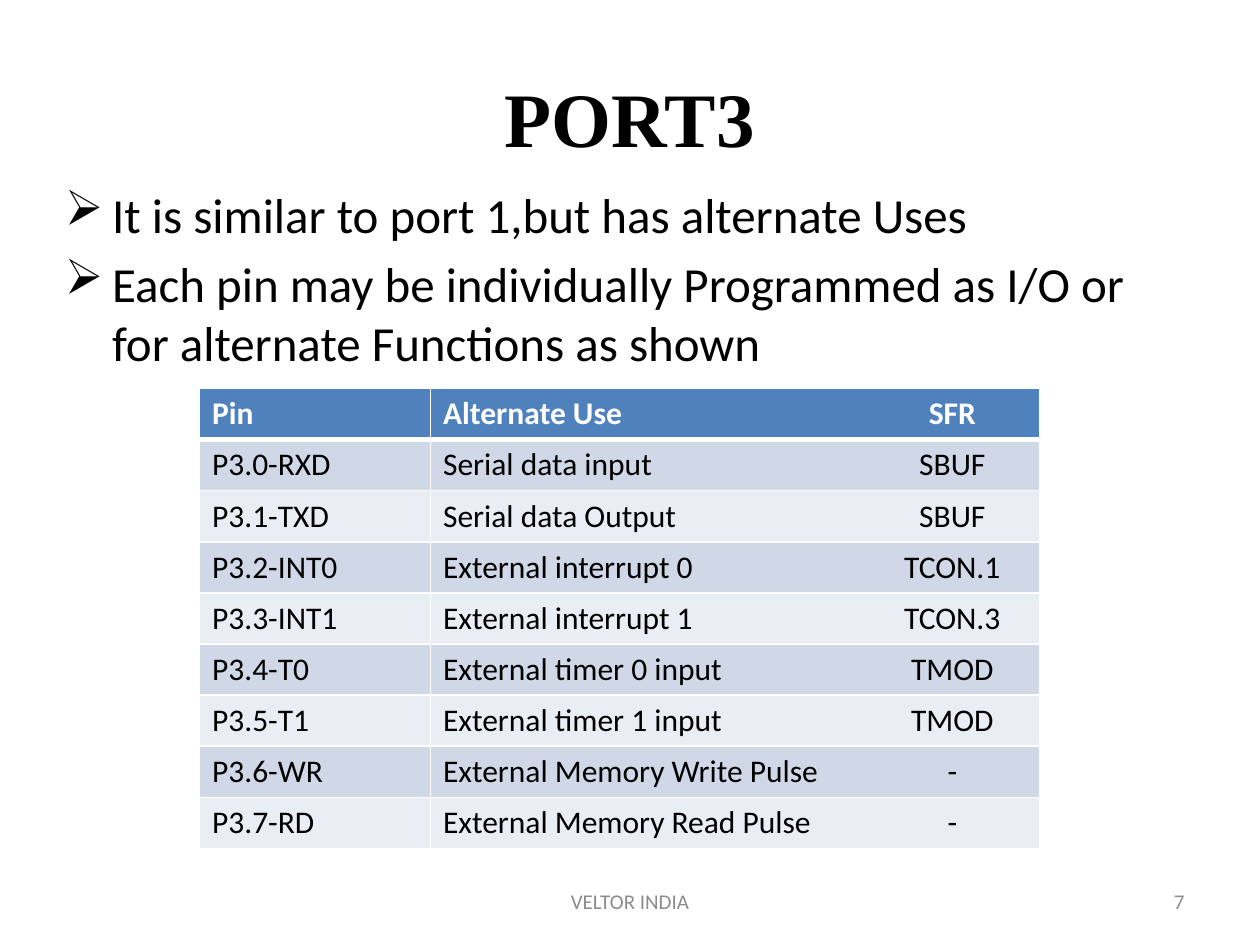
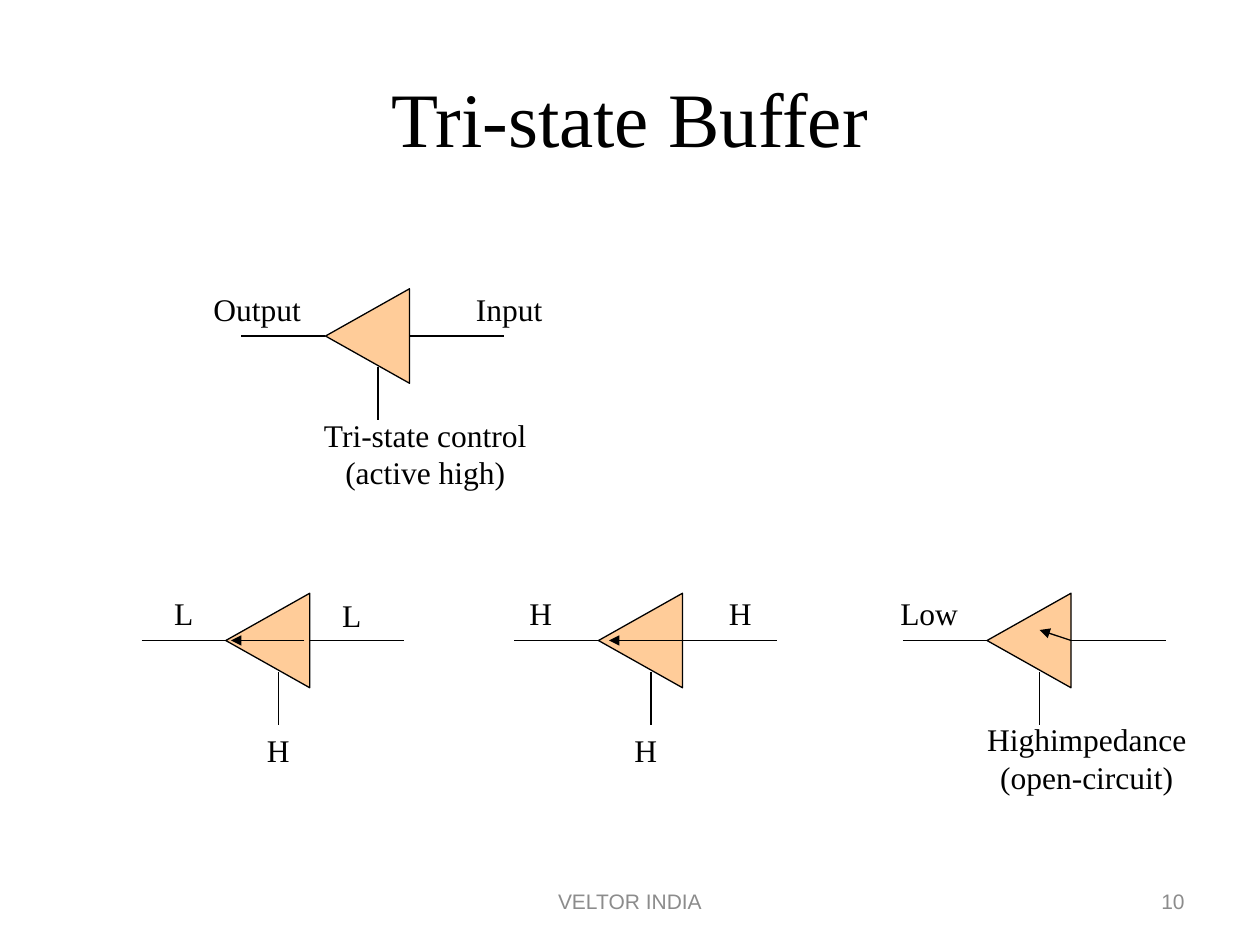
from lxml import etree
from pptx import Presentation
from pptx.dml.color import RGBColor
from pptx.enum.shapes import MSO_CONNECTOR, MSO_SHAPE
from pptx.enum.text import MSO_ANCHOR, PP_ALIGN
from pptx.oxml.ns import qn
from pptx.util import Pt

LEFT, MID, RIGHT = PP_ALIGN.LEFT, PP_ALIGN.CENTER, PP_ALIGN.RIGHT
TOP, MIDDLE = MSO_ANCHOR.TOP, MSO_ANCHOR.MIDDLE
STRAIGHT = MSO_CONNECTOR.STRAIGHT
TRIANGLE = MSO_SHAPE.ISOSCELES_TRIANGLE

BLACK = RGBColor(0x00, 0x00, 0x00)
WHITE = RGBColor(0xFF, 0xFF, 0xFF)
GREY = RGBColor(0x8C, 0x8C, 0x8C)
BLUE = RGBColor(0x4F, 0x81, 0xBD)
BANDS = RGBColor(0xD0, 0xD8, 0xE8), RGBColor(0xE9, 0xED, 0xF4)
PEACH = RGBColor(0xFF, 0xCC, 0x99)

SERIF, SANS, PLAIN = "Times New Roman", "Calibri", "Arial"
TITLE = {"name": SERIF, "size": Pt(44)}
BODY = {"name": SANS, "size": Pt(28)}
CELL = {"name": SANS, "size": Pt(18)}
LABEL = {"name": SERIF, "size": Pt(18)}
FOOT = {"size": Pt(12)}
OWNER = "VELTOR INDIA"

POINTS = [
    "It is similar to port 1,but has alternate Uses",
    "Each pin may be individually Programmed as I/O or for alternate Functions as shown",
]
PINS = [
    ("Pin", "Alternate Use", "SFR"),
    ("P3.0-RXD", "Serial data input", "SBUF"),
    ("P3.1-TXD", "Serial data Output", "SBUF"),
    ("P3.2-INT0", "External interrupt 0", "TCON.1"),
    ("P3.3-INT1", "External interrupt 1", "TCON.3"),
    ("P3.4-T0", "External timer 0 input", "TMOD"),
    ("P3.5-T1", "External timer 1 input", "TMOD"),
    ("P3.6-WR", "External Memory Write Pulse", "-"),
    ("P3.7-RD", "External Memory Read Pulse", "-"),
]
# Centre of each buffer, and its signal arrow relative to that centre
BUFFERS = [
    (210, 192, None),
    (153, 366, (21, 0, -21, 0)),
    (366, 366, (24, 0, -18, 0)),
    (588, 366, (24, 0, 6, -6)),
]
# Wires of a buffer relative to its centre: output, input, control
WIRES = [(-72, 0, -24, 0), (24, 0, 78, 0), (6, 18, 6, 48)]
LABELS = [
    ("Output", 108, 162, 78),
    ("Input", 252, 162, 78),
    ("Tri-state control (active high)", 162, 234, 162),
    ("L", 90, 336, 30),
    ("L", 186, 337, 30),
    ("H", 144, 414, 30),
    ("H", 294, 336, 30),
    ("H", 408, 336, 30),
    ("H", 354, 414, 30),
    ("Low", 498, 336, 66),
    ("Highimpedance (open-circuit)", 540, 408, 162),
]


def style(font, look, color=BLACK):
    for key, value in look.items():
        setattr(font, key, value)
    font.color.rgb = color


def add_text(slide, lines, box, look, color=BLACK, align=LEFT, anchor=TOP):
    frame = slide.shapes.add_textbox(*map(Pt, box)).text_frame
    frame.word_wrap = True
    frame.vertical_anchor = anchor
    frame.text = "\n".join(lines)
    for para in frame.paragraphs:
        para.alignment = align
        style(para.runs[0].font, look, color)
    return frame


def add_frame(slide, title, number, font, bold=False):
    """Add the title and the footer that all slides share."""
    add_text(slide, [title], (36, 21.6, 648, 90), TITLE | {"bold": bold},
             align=MID, anchor=MIDDLE)
    look = FOOT | {"name": font}
    add_text(slide, [OWNER], (246, 500.4, 228, 28.8), look, GREY, MID, MIDDLE)
    add_text(slide, [number], (516, 500.4, 168, 28.8), look, GREY, RIGHT, MIDDLE)


def add_list(slide, lines, box):
    for para in add_text(slide, lines, box, BODY).paragraphs:
        para.space_before = Pt(5.6)
        props = para._p.get_or_add_pPr()
        props.set("marL", str(Pt(27)))
        props.set("indent", str(-Pt(27)))
        etree.SubElement(props, qn("a:buChar")).set("char", "➢")


def add_edge(cell, side, width):
    edge = etree.SubElement(cell._tc.get_or_add_tcPr(), qn(f"a:ln{side}"))
    edge.set("w", str(Pt(width)))
    fill = etree.SubElement(edge, qn("a:solidFill"))
    etree.SubElement(fill, qn("a:srgbClr")).set("val", str(WHITE))


def add_stop(para, place):
    """Add a centred tab stop."""
    stops = etree.SubElement(para._p.get_or_add_pPr(), qn("a:tabLst"))
    stop = etree.SubElement(stops, qn("a:tab"))
    stop.set("pos", str(Pt(place)))
    stop.set("algn", "ctr")


def fill_cell(cell, text, row):
    head = row == 0
    for side in "LRTB":
        thick = (row, side) in ((0, "B"), (1, "T"))
        add_edge(cell, side, 3 if thick else 1)
    cell.fill.solid()
    cell.fill.fore_color.rgb = BLUE if head else BANDS[(row - 1) % 2]
    cell.text = text
    para = cell.text_frame.paragraphs[0]
    style(para.runs[0].font, CELL | {"bold": head}, WHITE if head else BLACK)
    return para


def add_pins(slide):
    box = map(Pt, (114, 222, 480, 262.8))
    table = slide.shapes.add_table(len(PINS), 2, *box).table
    for col, width in zip(table.columns, (132, 348)):
        col.width = Pt(width)
    for row, (pin, use, sfr) in enumerate(PINS):
        table.rows[row].height = Pt(29.2)
        fill_cell(table.cell(row, 0), pin, row)
        add_stop(fill_cell(table.cell(row, 1), f"{use}\t{sfr}", row), 291)


def add_line(slide, x, y, ends, arrow=False):
    """Draw a line whose ends are relative to (x, y)."""
    x1, y1, x2, y2 = ends
    line = slide.shapes.add_connector(
        STRAIGHT, Pt(x + x1), Pt(y + y1), Pt(x + x2), Pt(y + y2))
    line.line.color.rgb = BLACK
    line.line.width = Pt(0.75)
    if arrow:
        tail = etree.SubElement(line.line._get_or_add_ln(), qn("a:tailEnd"))
        tail.set("type", "triangle")
    etree.SubElement(line._element.spPr, qn("a:effectLst"))


def add_buffer(slide, x, y, signal):
    gate = slide.shapes.add_shape(
        TRIANGLE, Pt(x - 27), Pt(y - 24), Pt(54), Pt(48))
    gate.rotation = 270
    gate.shadow.inherit = False
    gate.fill.solid()
    gate.fill.fore_color.rgb = PEACH
    gate.line.color.rgb = BLACK
    gate.line.width = Pt(0.75)
    for wire in WIRES:
        add_line(slide, x, y, wire)
    if signal:
        add_line(slide, x, y, signal, arrow=True)


def main():
    deck = Presentation()
    deck.slide_width, deck.slide_height = Pt(720), Pt(540)
    blank = deck.slide_layouts[6]

    port = deck.slides.add_slide(blank)
    add_frame(port, "PORT3", "7", SANS, bold=True)
    add_list(port, POINTS, (30, 102, 648, 108))
    add_pins(port)

    tri = deck.slides.add_slide(blank)
    add_frame(tri, "Tri-state Buffer", "10", PLAIN)
    for x, y, signal in BUFFERS:
        add_buffer(tri, x, y, signal)
    for text, x, y, width in LABELS:
        height = 50.4 if width == 162 else 28.8
        add_text(tri, [text], (x, y, width, height), LABEL, align=MID)

    deck.save("out.pptx")


if __name__ == "__main__":
    main()
